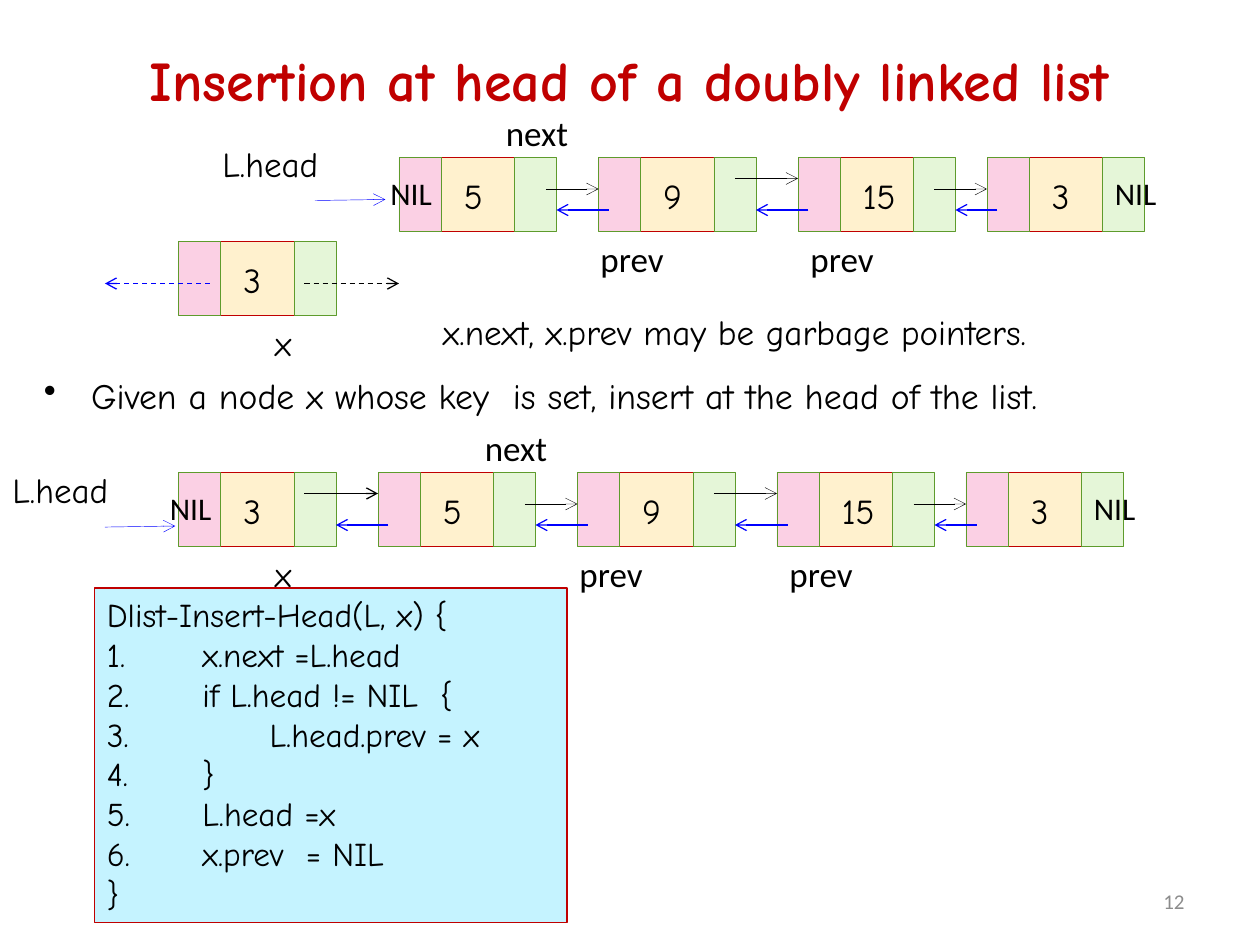
from lxml import etree
from pptx import Presentation
from pptx import util as u
from pptx.dml.color import RGBColor
from pptx.enum import dml, shapes, text
from pptx.oxml.ns import qn

EMU_PER_PX = 7620
RED = RGBColor(0xC0, 0x00, 0x00)
BLUE = RGBColor(0x00, 0x00, 0xFF)
BLACK = RGBColor(0x00, 0x00, 0x00)
GREY = RGBColor(0x8C, 0x8C, 0x8C)
WHITE = RGBColor(0xFF, 0xFF, 0xFF)
GREEN = RGBColor(0x5E, 0x9B, 0x2C)
PINK_FILL = RGBColor(0xFB, 0xD0, 0xE4)
GOLD_FILL = RGBColor(0xFF, 0xF1, 0xCE)
GREEN_FILL = RGBColor(0xE5, 0xF6, 0xD8)
CYAN_FILL = RGBColor(0xC5, 0xF3, 0xFF)
HAND = "Comic Neue"
PLAIN = "Calibri"


def px(length):
    return u.Emu(length * EMU_PER_PX)


class SlideBuilder:
    def __init__(self, page):
        self.page = page
        self.canvas = page.shapes

    def add_span(self, para, words, size=20, font=HAND, color=BLACK, bold=False):
        span = para.add_run()
        span.text = words
        span.font.name = font
        span.font.size = u.Pt(size)
        span.font.bold = bold
        span.font.color.rgb = color

    def indent(self, para, left, marker, **attributes):
        props = para._p.get_or_add_pPr()
        props.set("marL", str(px(left)))
        props.set("indent", str(-px(left)))
        etree.SubElement(props, qn(marker), attributes)

    def area(self, left, top, width, height, words, align=text.PP_ALIGN.LEFT,
             anchor=text.MSO_ANCHOR.MIDDLE, **style):
        box = self.canvas.add_textbox(px(left), px(top), px(width), px(height))
        frame = box.text_frame
        frame.word_wrap = True
        frame.vertical_anchor = anchor
        para = frame.paragraphs[0]
        para.alignment = align
        self.add_span(para, words, **style)
        return para

    def label(self, left, top, width, words, height=53, shelf=None, **style):
        shelf = shelf or self.canvas
        box = shelf.add_textbox(px(left), px(top), px(width), px(height))
        box.text_frame.word_wrap = False
        box.text_frame.auto_size = text.MSO_AUTO_SIZE.SHAPE_TO_FIT_TEXT
        self.add_span(box.text_frame.paragraphs[0], words, **style)

    def nil(self, left, top):
        self.label(left, top, 65, "NIL", height=48, size=18, font=PLAIN)

    def rect(self, left, top, width, height, fill, line, weight=0.25, shelf=None):
        shelf = shelf or self.canvas
        box = shelf.add_shape(shapes.MSO_SHAPE.RECTANGLE,
                              px(left), px(top), px(width), px(height))
        box.shadow.inherit = False
        box.fill.solid()
        box.fill.fore_color.rgb = fill
        box.line.color.rgb = line
        box.line.width = u.Pt(weight)
        return box

    def node(self, left, top, key):
        group = self.canvas.add_group_shape().shapes
        self.rect(left + 40, top, 70, 70, GOLD_FILL, RED, shelf=group)
        self.rect(left + 110, top, 40, 70, GREEN_FILL, GREEN, shelf=group)
        self.label(left + 50, top + 10, 60 if len(key) > 1 else 44, key, shelf=group)
        self.rect(left, top, 40, 70, PINK_FILL, GREEN, shelf=group)

    def arrow(self, start, end, color=BLACK, weight=0.25, dashed=False):
        line = self.canvas.add_connector(shapes.MSO_CONNECTOR.STRAIGHT,
                                         *map(px, start + end))
        line.line.color.rgb = color
        line.line.width = u.Pt(weight)
        if dashed:
            line.line.dash_style = dml.MSO_LINE.DASH
        outline = line._element.spPr.find(qn("a:ln"))
        etree.SubElement(outline, qn("a:tailEnd"), type="arrow")
        etree.SubElement(line._element.spPr, qn("a:effectLst"))

    def prev_arrow(self, left, following, top):
        self.arrow((following + 10, top + 50), (left + 150, top + 50), BLUE, 0.75)

    def linked_list(self, left, top):
        lefts = [left + step for step in (0, 190, 380, 560)]
        for node_left, key in zip(lefts, ("5", "9", "15", "3")):
            self.node(node_left, top, key)
        next_starts = ((140, 30), (130, 20), (130, 30))
        for here, following, (dx, dy) in zip(lefts, lefts[1:], next_starts):
            self.arrow((here + dx, top + dy), (following, top + dy))
            self.prev_arrow(here, following, top)
        self.nil(left + 670, top + 10)
        self.label(left + 90, top - 50, 84, "next", font=PLAIN)
        for dx in (180, 380):
            self.label(left + dx, top + 70, 85, "prev", font=PLAIN)

    def head_pointer(self, left, top, label_left, label_top):
        self.label(label_left, label_top, 126, "L.head")
        self.arrow((left, top), (left + 67, top - 1), BLUE)

    def new_node(self, left, top):
        self.node(left, top, "3")
        self.label(left + 80, top + 70, 44, "x")

    def code(self, left, top, width, height, opening, steps, closing):
        box = self.rect(left, top, width, height, CYAN_FILL, RED, 0.75)
        frame = box.text_frame
        frame.word_wrap = True
        frame.auto_size = text.MSO_AUTO_SIZE.SHAPE_TO_FIT_TEXT
        frame.vertical_anchor = text.MSO_ANCHOR.TOP
        lines = [(0, opening), *steps, (0, closing)]
        for index, (line_left, words) in enumerate(lines):
            para = frame.add_paragraph() if index else frame.paragraphs[0]
            para.alignment = text.PP_ALIGN.LEFT
            if line_left:
                self.indent(para, line_left, "a:buAutoNum", type="arabicPeriod")
            self.add_span(para, words, size=19)


def main():
    deck = Presentation()
    deck.slide_width, deck.slide_height = px(1200), px(900)
    page = deck.slides.add_slide(deck.slide_layouts[6])
    page.background.fill.solid()
    page.background.fill.fore_color.rgb = WHITE
    builder = SlideBuilder(page)

    builder.area(60, 0, 1080, 150, "Insertion at head of a doubly linked list",
                 text.PP_ALIGN.CENTER, size=32, color=RED, bold=True)
    builder.area(860, 834, 280, 48, "12", text.PP_ALIGN.RIGHT,
                 size=12, font=PLAIN, color=GREY)

    builder.linked_list(380, 150)
    builder.nil(360, 160)
    builder.head_pointer(300, 191, 200, 130)

    builder.new_node(170, 230)
    builder.arrow((200, 270), (100, 270), BLUE, 0.75, dashed=True)
    builder.arrow((290, 270), (380, 270), BLACK, 0.75, dashed=True)
    builder.label(410, 290, 643, "x.next, x.prev may be garbage pointers.")

    task = builder.area(30, 350, 1100, 70,
                        "Given a node x whose key  is set, insert at the head of the list.",
                        anchor=text.MSO_ANCHOR.TOP, size=20.4)
    task.space_before = u.Pt(4)
    builder.indent(task, 45, "a:buChar", char="•")

    builder.linked_list(360, 450)
    builder.head_pointer(100, 502, 0, 440)
    builder.new_node(170, 450)
    builder.arrow((290, 470), (360, 470), BLACK, 0.75)
    builder.prev_arrow(170, 360, 450)
    builder.nil(150, 460)

    steps = ((91, "x.next =L.head"), (91, "if L.head != NIL  {"),
             (155, "L.head.prev = x"), (91, "}"),
             (91, "L.head =x"), (91, "x.prev  = NIL"))
    builder.code(90, 560, 450, 319, "Dlist-Insert-Head(L, x) {", steps, "}")

    deck.save("out.pptx")


if __name__ == "__main__":
    main()
